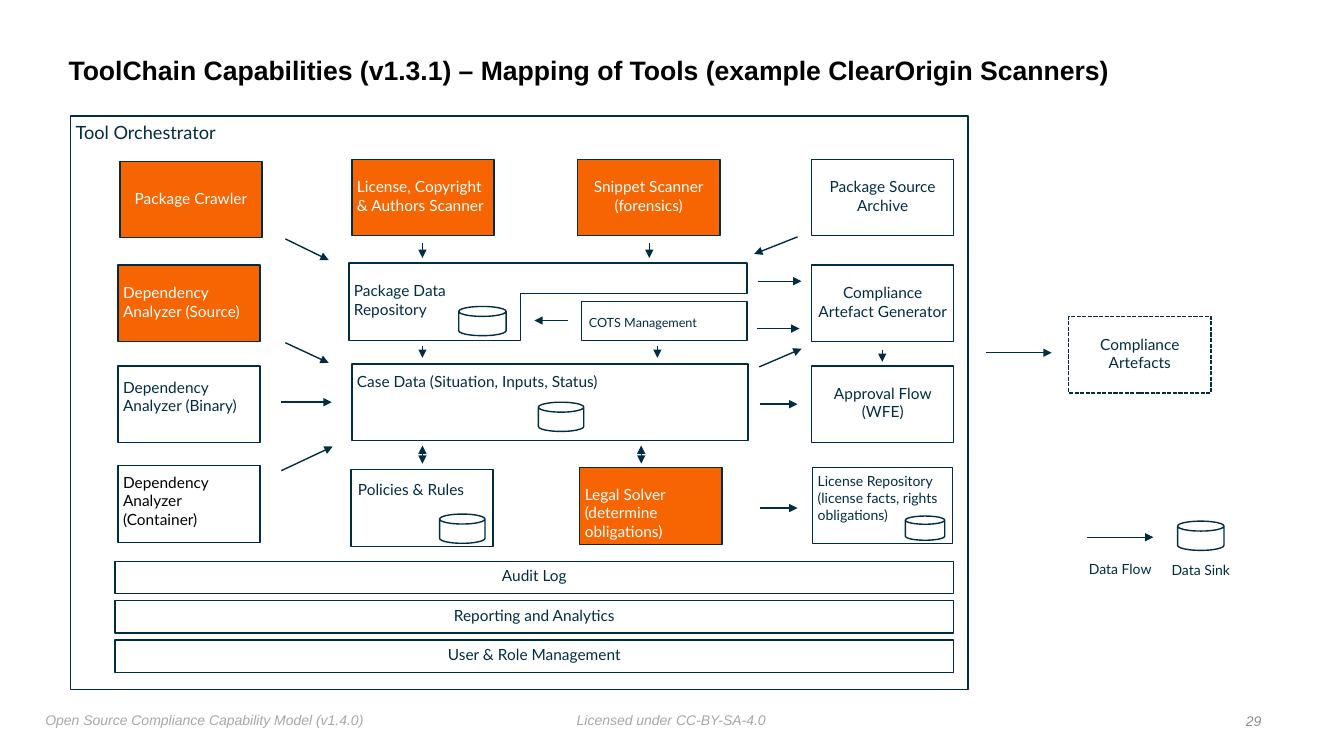
from lxml.etree import SubElement
from pptx import Presentation
from pptx.dml.color import RGBColor
from pptx.enum.dml import MSO_LINE
from pptx.enum.shapes import MSO_CONNECTOR, MSO_SHAPE
from pptx.enum.text import MSO_ANCHOR, MSO_AUTO_SIZE, PP_ALIGN
from pptx.oxml.ns import qn
from pptx.util import Pt

PX = 9144
COLORS = {
    "ink": "002D41",
    "orange": "F76503",
    "white": "FFFFFF",
    "black": "000000",
    "footer": "A7A7A7",
    "number": "888C91",
}
LEFT, CENTER, RIGHT = PP_ALIGN.LEFT, PP_ALIGN.CENTER, PP_ALIGN.RIGHT
CARD_WIDTH, CARD_HEIGHT = 141, 76

CARDS = [
    ("Package Crawler", 119, 160, "orange", CENTER, 28),
    ("License, Copyright & Authors Scanner", 349, 158, "orange", LEFT, 18),
    ("Snippet Scanner\n(forensics)", 573, 158, "orange", CENTER, 18),
    ("Package Source Archive", 805, 158, "white", CENTER, 18),
    ("Dependency Analyzer (Source)", 117, 263, "orange", LEFT, 18),
    ("Compliance Artefact Generator", 805, 263, "white", CENTER, 18),
    ("Dependency Analyzer (Binary)", 117, 363, "white", LEFT, 12),
    ("Approval Flow (WFE)", 805, 363, "white", CENTER, 18),
    ("Policies & Rules", 348, 466, "white", LEFT, 10),
    ("Legal Solver (determine obligations)", 575, 464, "orange", LEFT, 17),
]
ARROWS = [
    (283, 237, 326, 258), (283, 340, 326, 360),
    (279, 399, 329, 399), (279, 467, 330, 443),
    (419, 241, 419, 256), (644, 241, 644, 256),
    (419, 343, 419, 355), (652, 343, 652, 355),
    (791, 235, 748, 252), (752, 279, 795, 279),
    (751, 326, 793, 326), (753, 364, 795, 346),
    (754, 401, 791, 401), (754, 504, 791, 504),
    (563, 318, 530, 318), (875, 347, 875, 359),
    (978, 350, 1043, 350), (1078, 533, 1144, 533),
]
TWO_WAY_ARROWS = [(419, 460, 419, 442), (636, 460, 636, 442)]
DATA_SINKS = [
    (455, 304, 47, 29), (534, 399, 45, 29), (436, 510, 45, 29),
    (898, 512, 39, 24), (1168, 517, 46, 29),
]
SERVICES = ["Audit Log", "Reporting and Analytics", "User & Role Management"]


def color(name):
    return RGBColor.from_string(COLORS[name])


def emu(*lengths):
    return [length * PX for length in lengths]


def write(frame, text, size, ink, align=LEFT, font="Lato", bold=False, italic=False,
          insets=(5, 5, 5, 5), anchor=MSO_ANCHOR.TOP):
    frame.word_wrap = True
    frame.vertical_anchor = anchor
    (frame.margin_left, frame.margin_top,
     frame.margin_right, frame.margin_bottom) = emu(*insets)
    for index, line in enumerate(text.split("\n")):
        para = frame.add_paragraph() if index else frame.paragraphs[0]
        para.alignment = align
        span = para.add_run()
        span.text = line
        span.font.name = font
        span.font.size = Pt(size)
        span.font.bold = bold
        span.font.italic = italic
        span.font.color.rgb = color(ink)


def style(shape, fill="white"):
    shape.shadow.inherit = False
    shape.fill.solid()
    shape.fill.fore_color.rgb = color(fill)
    shape.line.color.rgb = color("ink")
    shape.line.width = Pt(1)


def add_box(page, text, x, y, width, height, fill="white", align=LEFT, drop=5,
            indent=5, size=11, ink="ink"):
    box = page.shapes.add_shape(MSO_SHAPE.RECTANGLE, *emu(x, y, width, height))
    style(box, fill)
    write(box.text_frame, text, size, "white" if fill == "orange" else ink, align,
          insets=(indent, drop, 5, 0))
    return box


def add_repository(page):
    outline = [(741, 261), (741, 291), (516, 291), (516, 338), (346, 338)]
    builder = page.shapes.build_freeform(346, 261, scale=PX)
    builder.add_line_segments(outline, close=True)
    repository = builder.convert_to_shape()
    style(repository)
    write(repository.text_frame, "Package Data Repository", 11, "ink",
          insets=(5, 18, 230, 0))


def add_sink(page, x, y, width, height):
    sink = page.shapes.add_shape(MSO_SHAPE.CAN, *emu(x, y, width, height))
    sink.adjustments[0] = 0.34
    style(sink)


def add_arrow(page, x1, y1, x2, y2, two_way=False):
    arrow = page.shapes.add_connector(MSO_CONNECTOR.STRAIGHT, *emu(x1, y1, x2, y2))
    arrow.line.color.rgb = color("ink")
    arrow.line.width = Pt(1)
    line = arrow.line._get_or_add_ln()
    for end in ("a:headEnd", "a:tailEnd") if two_way else ("a:tailEnd",):
        SubElement(line, qn(end), type="triangle")
    SubElement(arrow._element.spPr, qn("a:effectLst"))


def add_label(page, text, x, y, width, height, **look):
    label = page.shapes.add_textbox(*emu(x, y, width, height))
    write(label.text_frame, text, 10, **look)


def add_title(page, text):
    title = page.shapes.title
    title.left, title.top, title.width, title.height = emu(63, 39, 1075, 65)
    write(title.text_frame, text, 19, "black", font="Arial", bold=True,
          anchor=MSO_ANCHOR.MIDDLE)
    title.text_frame.auto_size = MSO_AUTO_SIZE.NONE
    title.text_frame.paragraphs[0].line_spacing = 0.9


def main():
    deck = Presentation()
    deck.slide_width, deck.slide_height = emu(1333, 750)
    page = deck.slides.add_slide(deck.slide_layouts[5])
    add_title(page, "ToolChain Capabilities (v1.3.1) – Mapping of Tools "
                    "(example ClearOrigin Scanners)")

    add_box(page, "Tool Orchestrator", 70, 115, 890, 569, size=13)
    for text, x, y, fill, align, drop in CARDS:
        indent = 7 if text.startswith("Policies") else 5
        add_box(page, text, x, y, CARD_WIDTH, CARD_HEIGHT, fill, align, drop, indent)
    add_box(page, "Dependency Analyzer (Container)", 117, 462, CARD_WIDTH, CARD_HEIGHT,
            drop=7, ink="black")
    add_box(page, "License Repository (license facts, rights obligations)",
            806, 464, 139, 75, size=10)
    add_box(page, "Case Data (Situation, Inputs, Status)", 349, 361, 393, 76, drop=8)
    add_repository(page)
    add_box(page, "COTS Management", 577, 299, 164, 39, drop=13, indent=7, size=9)
    artefacts = add_box(page, "Compliance Artefacts", 1060, 314, CARD_WIDTH, CARD_HEIGHT,
                        align=CENTER, drop=18)
    artefacts.line.dash_style = MSO_LINE.SQUARE_DOT
    for row, service in enumerate(SERVICES):
        add_box(page, service, 114, 557 + 39 * row, 832, 32, align=CENTER)

    for sink in DATA_SINKS:
        add_sink(page, *sink)
    for arrow in ARROWS:
        add_arrow(page, *arrow)
    for arrow in TWO_WAY_ARROWS:
        add_arrow(page, *arrow, two_way=True)

    add_label(page, "Data Flow", 1075, 551, 80, 27, ink="ink")
    add_label(page, "Data Sink", 1157, 552, 80, 27, ink="ink")
    footer = {"ink": "footer", "font": "Arial", "italic": True}
    add_label(page, "Open Source Compliance Capability Model (v1.4.0)",
              40, 701, 360, 27, **footer)
    add_label(page, "Licensed under CC-BY-SA-4.0", 567, 701, 220, 25, **footer)
    add_label(page, "29", 1216, 703, 40, 25, ink="number", font="Arial", italic=True,
              align=RIGHT, anchor=MSO_ANCHOR.MIDDLE)
    deck.save("out.pptx")


if __name__ == "__main__":
    main()
